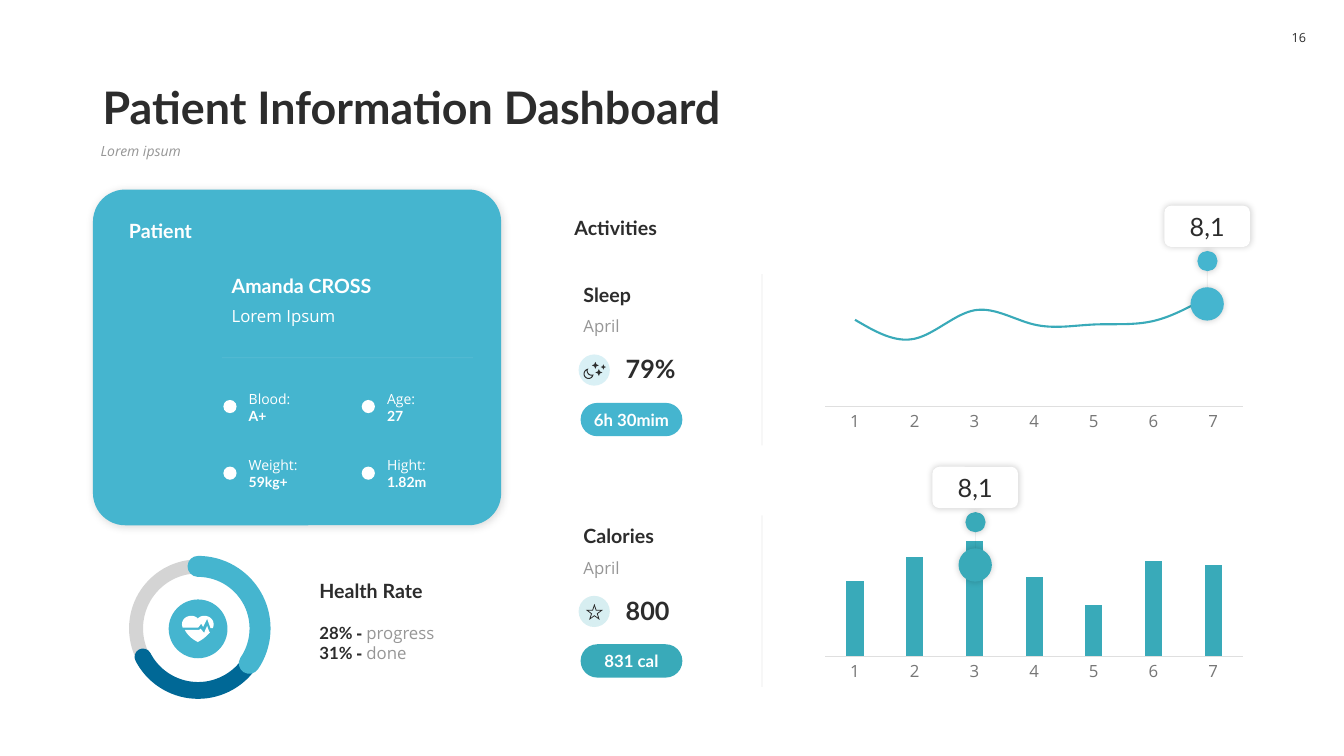
from collections import namedtuple
from math import cos, pi, sin
from lxml.etree import SubElement
from pptx import Presentation
from pptx.chart.data import CategoryChartData
from pptx.dml.color import RGBColor
from pptx.enum.chart import XL_CHART_TYPE, XL_MARKER_STYLE, XL_TICK_MARK
from pptx.enum.shapes import MSO_CONNECTOR, MSO_SHAPE
from pptx.enum.text import MSO_ANCHOR, PP_ALIGN
from pptx.oxml import parse_xml
from pptx.oxml.ns import nsdecls, qn
from pptx.util import Pt

SKY = RGBColor(0x45, 0xB5, 0xCF)
TEAL = RGBColor(0x39, 0xAA, 0xB9)
NAVY = RGBColor(0x00, 0x68, 0x96)
INK = RGBColor(0x2C, 0x2C, 0x2C)
GRAY = RGBColor(0x96, 0x96, 0x96)
LABEL = RGBColor(0x76, 0x76, 0x76)
RULE = RGBColor(0xDF, 0xDF, 0xDF)
WHITE = RGBColor(0xFF, 0xFF, 0xFF)
BLACK = RGBColor(0, 0, 0)
HEAD, BODY = "Lato", "Open Sans"

Style = namedtuple("Style", "size font color bold italic", defaults=(False, False))
HEADING = Style(14, HEAD, INK, True)
CARD_HEADING = Style(14, HEAD, WHITE, True)
STRONG = Style(12, HEAD, INK, True)
DASH = Style(12, BODY, INK, True)
PILL = Style(12, HEAD, WHITE, True)
MUTED = Style(12, BODY, GRAY)
FIGURE = Style(18, HEAD, INK, True)
TAG = Style(18, HEAD, INK)

HEART = [
    [(6.6, 0), (8.6, 0, 10.4, 0.7, 11.3, 2), (12.3, 0.7, 14, 0, 16, 0),
     (19.7, 0, 22.6, 2.6, 22.6, 5.9), (22.6, 7, 22.4, 7.9, 22, 8.8), (20.4, 8.8),
     (18, 2.2), (15.1, 7.9), (13.7, 5.6), (11.5, 8.5), (0.6, 8.5),
     (0.2, 7.7, 0, 6.8, 0, 5.9), (0, 2.6, 2.9, 0, 6.6, 0)],
    [(18, 7.2), (19.4, 11.2), (20, 11.8), (18, 14, 15.5, 16.6, 11.3, 18.7),
     (6, 16, 3.5, 12.8, 2, 10.1), (12.2, 10.1), (13.3, 9.2), (15.8, 12.2), (16.6, 10.2)],
]
MOON = [
    [(2.9, 1.4), (2.9, 0.9, 3.1, 0.4, 3.5, 0), (3, 0), (1.2, 0.4, 0, 2, 0, 3.7),
     (0, 5.7, 1.6, 7.3, 3.6, 7.3), (5.2, 7.3, 6.6, 6.2, 7, 4.6), (7.1, 4),
     (6.6, 4.2, 6.2, 4.3, 5.8, 4.3), (4.2, 4.3, 2.9, 3, 2.9, 1.4)],
    [(3.6, 6.6), (2, 6.6, 0.7, 5.3, 0.7, 3.7), (0.7, 2.6, 1.3, 1.6, 2.2, 1.1),
     (2.2, 1.4), (2.2, 3.4, 3.8, 5, 5.8, 5), (6, 5), (5.6, 6, 4.7, 6.6, 3.6, 6.6)],
]


def flatten(steps, count=8):
    points = [steps[0]]
    for step in steps[1:]:
        if len(step) == 2:
            points.append(step)
            continue
        controls = [points[-1], step[:2], step[2:4], step[4:]]
        for index in range(1, count + 1):
            t = index / count
            weights = ((1 - t) ** 3, 3 * t * (1 - t) ** 2, 3 * t * t * (1 - t), t ** 3)
            points.append(tuple(sum(w * c[axis] for w, c in zip(weights, controls))
                                for axis in (0, 1)))
    return points


def star(tips, outer, inner):
    radii = [(outer, inner)[index % 2] for index in range(2 * tips)]
    return [(radius * sin(index * pi / tips), -radius * cos(index * pi / tips))
            for index, radius in enumerate(radii)]


class Dashboard:
    def __init__(self, page):
        self.shapes = page.shapes

    def fade(self, shape, percent):
        for color in shape._element.spPr.iter(qn("a:srgbClr")):
            SubElement(color, qn("a:alpha"), val=str(percent * 1000))

    def typeset(self, frame, lines, anchor, align=PP_ALIGN.LEFT, spacing=None):
        frame.word_wrap = True
        frame.vertical_anchor = anchor
        for index, line in enumerate(lines):
            para = frame.add_paragraph() if index else frame.paragraphs[0]
            para.alignment = align
            para.line_spacing = spacing
            for words, style in line:
                span = para.add_run()
                span.text = words
                span.font.size = Pt(style.size)
                span.font.name = style.font
                span.font.color.rgb = style.color
                span.font.bold = style.bold
                span.font.italic = style.italic

    def text(self, left, top, width, height, lines, anchor=MSO_ANCHOR.BOTTOM, spacing=None):
        box = self.shapes.add_textbox(Pt(left), Pt(top), Pt(width), Pt(height))
        self.typeset(box.text_frame, lines, anchor, spacing=spacing)

    def shape(self, kind, left, top, width, height, fill=None, alpha=None, adjust=(),
              shadow=None, line=None):
        shape = self.shapes.add_shape(kind, Pt(left), Pt(top), Pt(width), Pt(height))
        for index, value in enumerate(adjust):
            shape.adjustments[index] = value
        self.paint(shape, fill)
        if line:
            shape.line.color.rgb, shape.line.width = line[0], Pt(line[1])
            shape._element.spPr.find(qn("a:ln")).set("cap", "rnd")
        if alpha:
            self.fade(shape, alpha)
        if shadow:
            percent, blur, distance = shadow
            effects = shape._element.spPr.find(qn("a:effectLst"))
            cast = SubElement(effects, qn("a:outerShdw"), blurRad=str(int(Pt(blur))),
                              dist=str(int(Pt(distance))), dir="2700000", rotWithShape="0")
            color = SubElement(cast, qn("a:srgbClr"), val=str(BLACK))
            SubElement(color, qn("a:alpha"), val=str(percent * 1000))
        return shape

    def paint(self, shape, fill):
        shape.shadow.inherit = False
        shape.line.fill.background()
        if fill is None:
            shape.fill.background()
        else:
            shape.fill.solid()
            shape.fill.fore_color.rgb = fill

    def dot(self, left, top, size, fill, **options):
        return self.shape(MSO_SHAPE.OVAL, left, top, size, size, fill, **options)

    def label(self, shape, words, style, margins=(0, 0)):
        frame = shape.text_frame
        frame.margin_left = frame.margin_right = Pt(margins[0])
        frame.margin_top = frame.margin_bottom = Pt(margins[1])
        self.typeset(frame, [[(words, style)]], MSO_ANCHOR.MIDDLE, PP_ALIGN.CENTER)

    def rule(self, x1, y1, x2, y2, color):
        line = self.shapes.add_connector(MSO_CONNECTOR.STRAIGHT, Pt(x1), Pt(y1), Pt(x2), Pt(y2))
        line.line.color.rgb = color
        line.line.width = Pt(0.5)
        self.fade(line, 10)
        SubElement(line._element.spPr, qn("a:effectLst"))

    def icon(self, left, top, contours, fill):
        builder = None
        for contour in contours:
            points = [(Pt(left + x), Pt(top + y)) for x, y in flatten(contour)]
            if builder is None:
                builder = self.shapes.build_freeform(*points[0])
            else:
                builder.move_to(*points[0])
            builder.add_line_segments(points[1:], close=True)
        self.paint(builder.convert_to_shape(), fill)

    def chart(self, top, kind, values, low, high):
        data = CategoryChartData()
        data.categories = [str(day) for day in range(1, 8)]
        data.add_series("Series 1", values)
        chart = self.shapes.add_chart(kind, Pt(583.2), Pt(top), Pt(311), Pt(113.8), data).chart
        chart.has_legend = chart.has_title = False
        chart.font.size, chart.font.name, chart.font.color.rgb = Pt(12), BODY, INK
        scale, days = chart.value_axis, chart.category_axis
        scale.visible = scale.has_major_gridlines = False
        scale.minimum_scale, scale.maximum_scale = low, high
        days.major_tick_mark = XL_TICK_MARK.NONE
        days.format.line.color.rgb, days.format.line.width = RULE, Pt(0.75)
        font = days.tick_labels.font
        font.size, font.name, font.color.rgb = Pt(12), BODY, LABEL
        plot, series = chart.plots[0], chart.plots[0].series[0]
        plot.vary_by_categories = False
        if kind == XL_CHART_TYPE.LINE:
            series.smooth = True
            series.marker.style = XL_MARKER_STYLE.NONE
            series.format.line.color.rgb, series.format.line.width = TEAL, Pt(1.5)
        else:
            plot.gap_width = 250
            series.format.fill.solid()
            series.format.fill.fore_color.rgb = TEAL
        area = chart._chartSpace.chart.plotArea
        for layout in area.findall(qn("c:layout")):
            area.remove(layout)
        area.insert(0, parse_xml(
            f'<c:layout {nsdecls("c")}><c:manualLayout><c:layoutTarget val="inner"/>'
            '<c:xMode val="edge"/><c:yMode val="edge"/><c:x val="0.02"/><c:y val="0.03"/>'
            '<c:w val="0.96"/><c:h val="0.78"/></c:manualLayout></c:layout>'))

    def marker(self, left, top, color):
        glow = (20, 5, 0)
        self.dot(left, top, 23.8, color, shadow=glow)
        self.rule(left + 12, top - 11.5, left + 12, top, INK)
        self.dot(left + 4.9, top - 25.9, 14.4, color, shadow=glow)
        tag = self.shape(MSO_SHAPE.ROUNDED_RECTANGLE, left - 18.7, top - 58.3, 61.2, 29.5,
                         WHITE, shadow=glow)
        self.label(tag, "8,1", TAG, (5.8, 3.6))

    def activity(self, top, name, figure, total, color):
        self.text(409.7, top, 119.5, 24.5, [[(name, HEADING)]])
        self.text(409.7, top + 24.2, 119.5, 21.6, [[("April", MUTED)]], MSO_ANCHOR.TOP)
        self.dot(413.3, top + 55.2, 22.3, color, alpha=20)
        self.text(439.9, top + 51, 89.3, 28.8, [[(figure, FIGURE)]])
        pill = self.shape(MSO_SHAPE.ROUNDED_RECTANGLE, 414.7, top + 89.8, 72.7, 23.8, color,
                          adjust=[0.5])
        self.label(pill, total, PILL)
        self.rule(544.3, top + 120.2, 544.3, top - 2.2, INK)


def main():
    deck = Presentation()
    deck.slide_width, deck.slide_height = Pt(960), Pt(540)
    board = Dashboard(deck.slides.add_slide(deck.slide_layouts[6]))

    board.shape(MSO_SHAPE.ROUNDED_RECTANGLE, 66.4, 135.4, 291.6, 239.8, SKY, adjust=[0.096],
                shadow=(15, 6, 1))
    board.text(64.8, 99.4, 829.4, 25.9, [[("Lorem ipsum", Style(10, BODY, GRAY, italic=True))]],
               MSO_ANCHOR.TOP, 0.9)
    board.text(66.2, 41.8, 828, 57.6,
               [[("Patient Information Dashboard", Style(32, HEAD, INK, True))]], spacing=0.9)
    number = board.shape(MSO_SHAPE.ROUNDED_RECTANGLE, 913.7, 13, 28.1, 28.1, WHITE)
    board.label(number, "16", Style(9, BODY, INK), (0, 3.6))

    board.text(85, 151.9, 259.9, 24.5, [[("Patient", CARD_HEADING)]])
    board.text(158.4, 191.5, 186.5, 24.5, [[("Amanda CROSS", CARD_HEADING)]])
    board.text(158.4, 214.6, 186.5, 21.6, [[("Lorem Ipsum", Style(12, BODY, WHITE))]],
               MSO_ANCHOR.TOP)
    board.rule(158.4, 255.6, 337.7, 255.6, WHITE)
    facts = [("Blood:", "A+"), ("Age:", "27"), ("Weight:", "59kg+"), ("Hight:", "1.82m")]
    for index, (name, value) in enumerate(facts):
        left, top = 159.6 + index % 2 * 98.8, 285.7 + index // 2 * 47.6
        board.dot(left, top, 9.4, WHITE)
        board.text(left + 11, top - 10.8, 68.4, 31.7,
                   [[(name, Style(10, BODY, WHITE))], [(value, Style(10, HEAD, WHITE, True))]],
                   MSO_ANCHOR.MIDDLE)

    ring = (97.2, 404.6, 88.6, 88.6)
    board.shape(MSO_SHAPE.OVAL, *ring, line=(INK, 10), alpha=20)
    board.dot(120.5, 428.2, 42, SKY)
    board.shape(MSO_SHAPE.ARC, *ring, adjust=(20.17, 91.58), line=(NAVY, 12))
    board.shape(MSO_SHAPE.ARC, *ring, adjust=(162, 20.54), line=(SKY, 15))
    board.icon(130, 439.9, HEART, WHITE)
    board.text(221, 409.7, 123.8, 24.5, [[("Health Rate", HEADING)]])
    rates = [("28% ", "progress"), ("31% ", "done")]
    board.text(221, 441.4, 123.8, 36,
               [[(rate, STRONG), ("- ", DASH), (state, MUTED)] for rate, state in rates],
               MSO_ANCHOR.TOP)

    board.text(403.2, 149.8, 274.3, 24.5, [[("Activities", HEADING)]])
    board.activity(198, "Sleep", "79%", "6h 30mim", SKY)
    board.chart(198, XL_CHART_TYPE.LINE, (78, 62, 86, 74, 74, 77, 100), 5, 110)
    board.marker(850.4, 205.2, SKY)
    board.icon(416.9, 263.4, MOON, INK)
    for left, top, size in [(431, 262.2, 1.9), (425.3, 261, 2.5), (427.8, 266.1, 2.5)]:
        board.icon(left, top, [star(4, size, size * 0.42)], INK)

    board.activity(370.4, "Calories", "800", "831 cal", TEAL)
    board.chart(376.6, XL_CHART_TYPE.COLUMN_CLUSTERED, (90, 96, 100, 91, 84, 95, 94), 71.4, 102.2)
    board.marker(684.7, 391.7, TEAL)
    board.icon(424.6, 437.7, [star(5, 6.4, 2.5), star(5, 4.7, 1.8)[::-1]], INK)

    deck.save("out.pptx")


if __name__ == "__main__":
    main()
